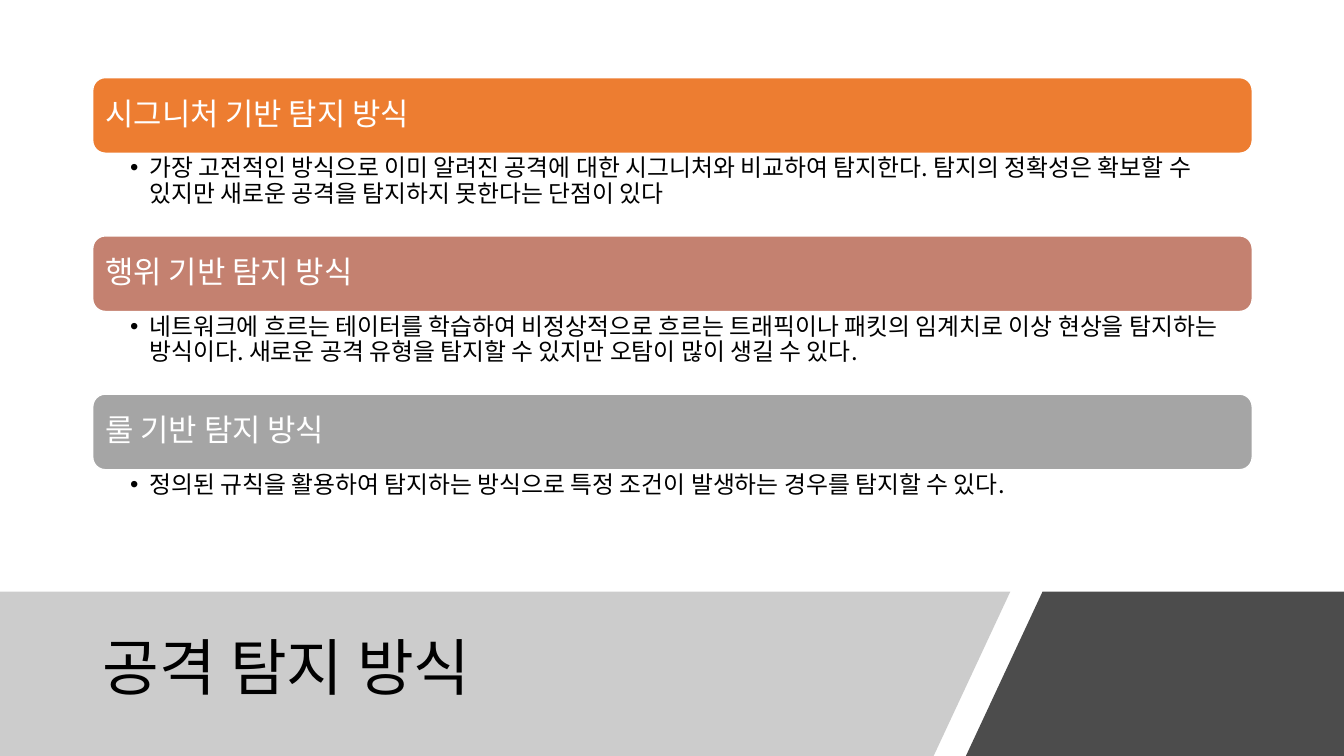
import dataclasses

import lxml.etree
import pptx
import pptx.dml.color
import pptx.enum.shapes
import pptx.enum.text
import pptx.oxml.ns
import pptx.util

WIDTH, HEIGHT = 13.33, 7.5
FONT = "Noto Sans CJK KR"
COLORS = {
    "orange": "ED7D31", "rose": "C48170", "gray": "A5A5A5",
    "band": "808080", "black": "000000", "white": "FFFFFF",
}

# Rows: a bar with a description under it, at an equal pitch
LEFT, ROW_WIDTH = 0.92, 11.5
FIRST_TOP, PITCH, BAR_HEIGHT = 0.77, 1.57, 0.75
BAND_TOP = 5.87


@dataclasses.dataclass(frozen=True)
class Method:
    heading: str
    detail: str
    color: str
    detail_height: float = 0.82


@dataclasses.dataclass(frozen=True)
class Band:
    points: tuple[tuple[float, float], ...]
    color: str
    opacity: int


METHODS = (
    Method("시그니처 기반 탐지 방식",
           "가장 고전적인 방식으로 이미 알려진 공격에 대한 시그니처와 비교하여 탐지한다. "
           "탐지의 정확성은 확보할 수 있지만 새로운 공격을 탐지하지 못한다는 단점이 있다",
           "orange"),
    Method("행위 기반 탐지 방식",
           "네트워크에 흐르는 테이터를 학습하여 비정상적으로 흐르는 트래픽이나 패킷의 임계치로 "
           "이상 현상을 탐지하는 방식이다. 새로운 공격 유형을 탐지할 수 있지만 오탐이 많이 생길 수 있다.",
           "rose"),
    Method("룰 기반 탐지 방식",
           "정의된 규칙을 활용하여 탐지하는 방식으로 특정 조건이 발생하는 경우를 탐지할 수 있다.",
           "gray", 0.45),
)
BANDS = (
    Band(((0, BAND_TOP), (10.02, BAND_TOP), (9.26, HEIGHT), (0, HEIGHT)), "band", 40),
    Band(((10.34, BAND_TOP), (WIDTH, BAND_TOP), (WIDTH, HEIGHT), (9.58, HEIGHT)), "black", 70),
)


def rgb(name: str) -> pptx.dml.color.RGBColor:
    return pptx.dml.color.RGBColor.from_string(COLORS[name])


def add_xml(parent, tag: str, **attributes: str) -> None:
    lxml.etree.SubElement(parent, pptx.oxml.ns.qn(tag), attributes)


def place(box, left: float, top: float, width: float, height: float) -> None:
    box.left, box.top = pptx.util.Inches(left), pptx.util.Inches(top)
    box.width, box.height = pptx.util.Inches(width), pptx.util.Inches(height)


def write(box, text: str, size: float, color: str, anchor: str,
          margins: tuple[float, float, float, float], after: float = 0):
    """Fill a box with one left-aligned paragraph and return the paragraph."""
    frame = box.text_frame
    frame.word_wrap = True
    frame.auto_size = pptx.enum.text.MSO_AUTO_SIZE.NONE
    frame.vertical_anchor = pptx.enum.text.MSO_ANCHOR[anchor]
    (frame.margin_left, frame.margin_top,
     frame.margin_right, frame.margin_bottom) = map(pptx.util.Inches, margins)
    para = frame.paragraphs[0]
    para.alignment = pptx.enum.text.PP_ALIGN.LEFT
    para.line_spacing = 0.9
    para.space_before = pptx.util.Pt(0)
    para.space_after = pptx.util.Pt(after)
    span = para.add_run()
    span.text = text
    span.font.size = pptx.util.Pt(size)
    span.font.bold = False
    span.font.name = FONT
    span.font.color.rgb = rgb(color)
    add_xml(span.font._element, "a:ea", typeface=FONT)
    return para


def add_bullet(para, indent: float) -> None:
    para.level = 1
    properties = para._p.get_or_add_pPr()
    properties.set("marL", str(pptx.util.Inches(indent)))
    properties.set("indent", str(-pptx.util.Inches(indent)))
    add_xml(properties, "a:buFont", typeface="Arial")
    add_xml(properties, "a:buChar", char="•")


def draw_band(page, band: Band) -> None:
    points = [(pptx.util.Inches(x), pptx.util.Inches(y)) for x, y in band.points]
    builder = page.shapes.build_freeform(*points[0])
    builder.add_line_segments(points[1:], close=True)
    shape = builder.convert_to_shape()
    shape.shadow.inherit = False
    shape.line.fill.background()
    shape.fill.solid()
    shape.fill.fore_color.rgb = rgb(band.color)
    fill_color = shape._element.spPr.find(".//" + pptx.oxml.ns.qn("a:srgbClr"))
    add_xml(fill_color, "a:alpha", val=str(band.opacity * 1000))
    # Behind the title
    page.shapes._spTree.insert(2, shape._element)


def draw_method(page, body, method: Method, row: int) -> None:
    top = FIRST_TOP + row * PITCH
    bar = page.shapes.add_shape(
        pptx.enum.shapes.MSO_SHAPE.ROUNDED_RECTANGLE,
        *map(pptx.util.Inches, (LEFT, top, ROW_WIDTH, BAR_HEIGHT)))
    bar.shadow.inherit = False
    bar.fill.solid()
    bar.fill.fore_color.rgb = rgb(method.color)
    bar.line.color.rgb = rgb("white")
    bar.line.width = pptx.util.Pt(1)
    write(bar, method.heading, 22, "white", "MIDDLE", (0.09, 0.09, 0.09, 0.09), 7.7)

    place(body, LEFT, top + BAR_HEIGHT, ROW_WIDTH, method.detail_height)
    para = write(body, method.detail, 17, "black", "TOP", (0.37, 0.03, 0.17, 0.03), 3.4)
    add_bullet(para, 0.19)


def main() -> None:
    deck = pptx.Presentation()
    deck.slide_width = pptx.util.Inches(WIDTH)
    deck.slide_height = pptx.util.Inches(HEIGHT)
    page = deck.slides.add_slide(deck.slide_layouts.get_by_name("Comparison"))

    # Title
    title = page.shapes.title
    place(title, LEFT, 6.05, 8.44, 1.2)
    write(title, "공격 탐지 방식", 44, "black", "MIDDLE", (0.1, 0.05, 0.1, 0.05))

    # Detection methods, one body placeholder each
    bodies = [box for box in page.placeholders if box.placeholder_format.idx in range(1, 5)]
    for row, (body, method) in enumerate(zip(bodies, METHODS)):
        draw_method(page, body, method, row)
    for spare in bodies[len(METHODS):]:
        spare._element.getparent().remove(spare._element)

    # Slanted bands at the foot
    for band in BANDS:
        draw_band(page, band)

    deck.save("out.pptx")


if __name__ == "__main__":
    main()
